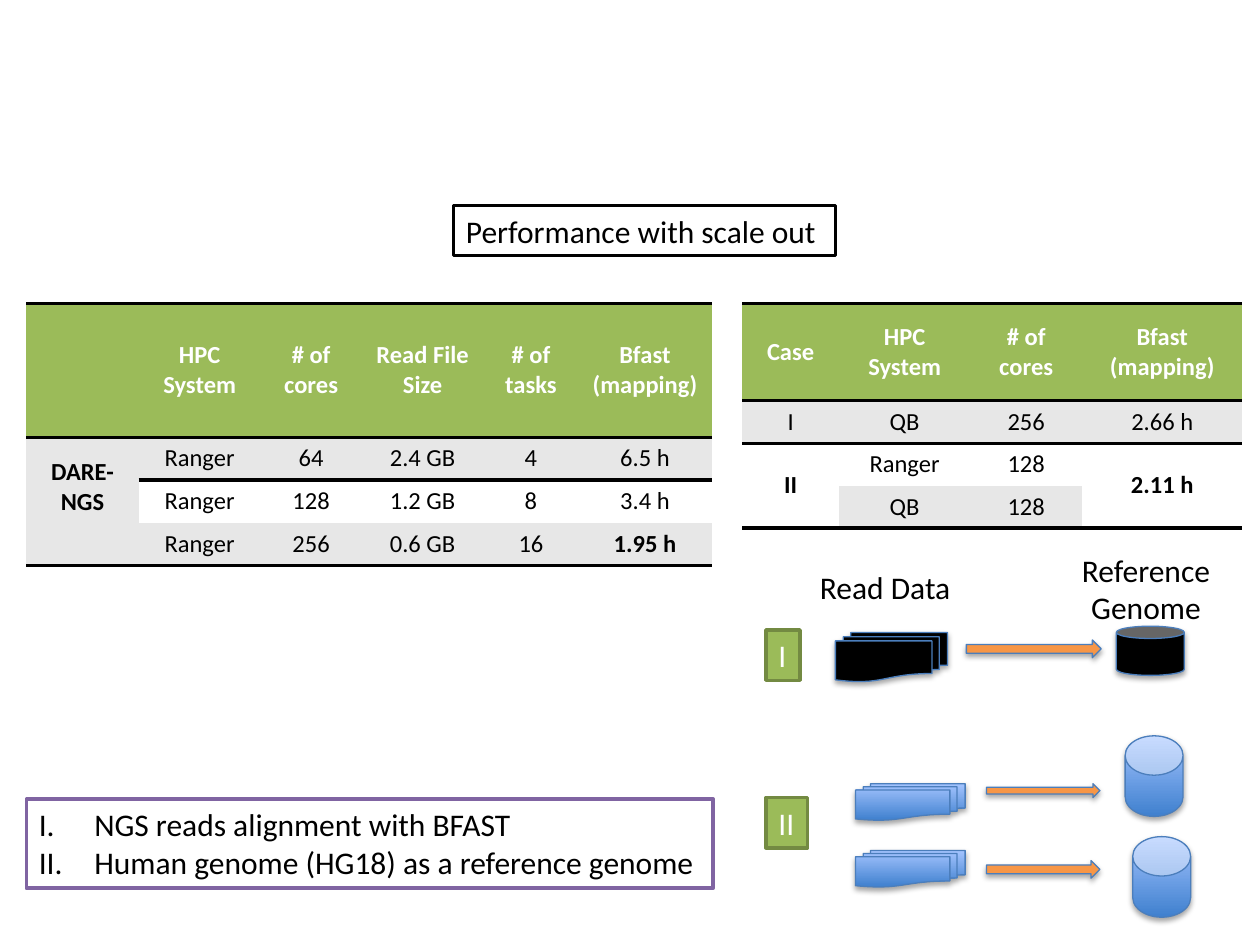
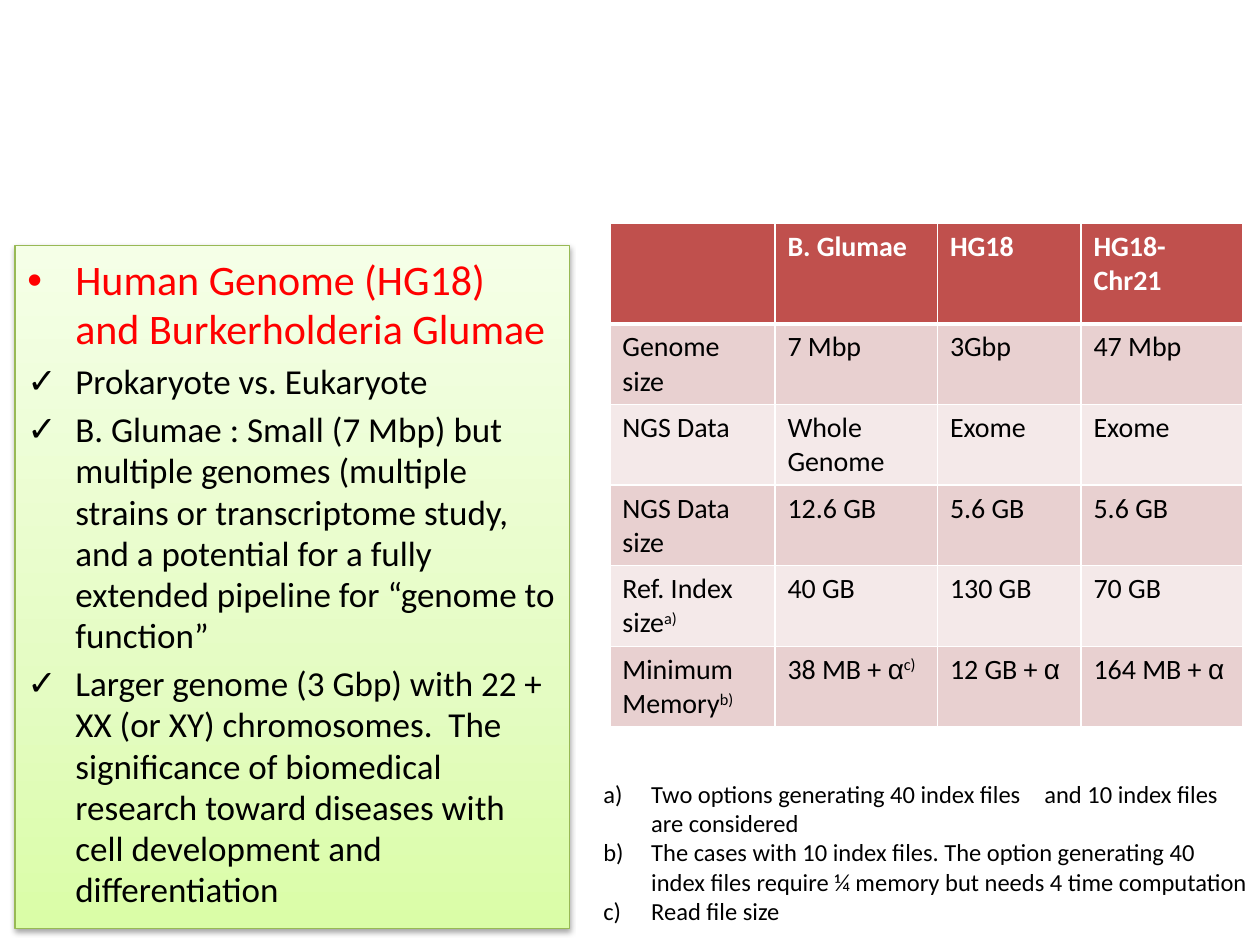
from typing import NamedTuple, Optional

from lxml.etree import SubElement
from pptx import Presentation
from pptx.dml.color import RGBColor
from pptx.enum.shapes import MSO_SHAPE
from pptx.enum.text import MSO_ANCHOR, PP_ALIGN
from pptx.oxml.ns import qn
from pptx.util import Emu, Inches, Pt

FONT = "Calibri"
COLS, ROWS = 100, 75  # slide grid: one step is a tenth of an inch
STEP = Inches(0.1)
PLAIN = "{2D5ABB26-0587-4C30-8999-92F81FD0307C}"  # table style without grid

HUES = {
    "ink": "000000", "paper": "FFFFFF", "alert": "FF0000",
    "green": "9BBB59", "moss": "738A42", "leaf": "98B955",
    "purple": "8064A2", "orange": "F79646", "edge": "4B7EBC",
    "gray": "E7E7E7", "red": "C0504D", "rose": "E8D0D0", "blush": "F4E9E9",
}
SKY = [(0, "3F80CE"), (100, "A4C4FF")]
LIME = [(0, "DAFDA7"), (35, "E4FCC2"), (100, "F5FFE7")]


class Box(NamedTuple):
    """Place and size in grid steps."""
    left: float
    top: float
    wide: float
    high: float

    def emu(self) -> list:
        return [Emu(round(n * STEP)) for n in self]


class Look(NamedTuple):
    """Colours and rules of a table."""
    head: str
    bands: tuple
    size: int
    align: PP_ALIGN
    anchor: MSO_ANCHOR
    grid: bool


class Glyph(NamedTuple):
    """A shadowed drawing in the flow of reads to genome."""
    kind: MSO_SHAPE
    box: Box
    fill: object
    lid: Optional[float] = None


class Item(NamedTuple):
    text: str
    size: int
    hue: str
    mark: str


SCALE = Look("green", ("gray", "paper"), 14, PP_ALIGN.CENTER, MSO_ANCHOR.MIDDLE, False)
GENOME = Look("red", ("rose", "blush"), 16, PP_ALIGN.LEFT, MSO_ANCHOR.TOP, True)


def rgb(hue: str) -> RGBColor:
    return RGBColor.from_string(HUES[hue])


def pieces(text: str) -> list:
    """Split into (text, font, raise): alpha is in Arial, what follows ^ is raised."""
    base, _, note = text.partition("^")
    start, alpha, _ = base.partition("α")
    runs = [(start, FONT, 0), (alpha, "Arial", 0), (note, FONT, 30000)]
    return [run for run in runs if run[0]]


def bullet(para, mark: str, indent: float) -> None:
    """Hang the paragraph on a character, or on a numbering scheme's name."""
    props = para._p.get_or_add_pPr()
    props.set("marL", str(Inches(indent)))
    props.set("indent", str(-Inches(indent)))
    SubElement(props, qn("a:buFont")).set("typeface", "Arial")
    if len(mark) == 1:
        SubElement(props, qn("a:buChar")).set("char", mark)
    else:
        SubElement(props, qn("a:buAutoNum")).set("type", mark)


def write(frame, text: str, *, size: int = 18, hue: str = "ink", bold: bool = False,
          align: PP_ALIGN = PP_ALIGN.LEFT, mark: str = "", indent: float = 0,
          before: float = 0, lines: Optional[float] = None) -> None:
    """Add one paragraph, filling the empty first one if there is one."""
    first = not frame.text
    para = frame.paragraphs[0] if first else frame.add_paragraph()
    para.alignment = align
    if lines:
        para.line_spacing = lines
    if not first:
        para.space_before = Pt(before)
    if mark:
        bullet(para, mark, indent)
    for part, face, lift in pieces(text):
        run = para.add_run()
        run.text = part
        run.font.name, run.font.size, run.font.bold = face, Pt(size), bold
        run.font.color.rgb = rgb(hue)
        if lift:
            run.font._element.set("baseline", str(lift))


def blend(shape, stops: list) -> None:
    """Fill with a gradient that runs upwards."""
    shape.fill.gradient()
    shape.fill.gradient_angle = 90
    row = shape._element.spPr.find(".//" + qn("a:gsLst"))
    for old in list(row):
        row.remove(old)
    for share, color in stops:
        stop = SubElement(row, qn("a:gs"), pos=str(share * 1000))
        SubElement(stop, qn("a:srgbClr"), val=color)


def shade(shape) -> None:
    """Cast a soft shadow straight down."""
    effects = shape._element.spPr.find(qn("a:effectLst"))
    cast = SubElement(effects, qn("a:outerShdw"), blurRad=str(Pt(3.1)),
                      dist=str(Pt(1.8)), dir="5400000", rotWithShape="0")
    color = SubElement(cast, qn("a:srgbClr"), val=HUES["ink"])
    SubElement(color, qn("a:alpha"), val="35000")


def draw(slide, kind: MSO_SHAPE, box: Box, fill, line: str,
         width: float = 2, shadow: bool = False):
    shape = slide.shapes.add_shape(kind, *box.emu())
    if isinstance(fill, list):
        blend(shape, fill)
    else:
        shape.fill.solid()
        shape.fill.fore_color.rgb = rgb(fill)
    shape.line.color.rgb = rgb(line)
    shape.line.width = Pt(width)
    shape.shadow.inherit = False
    if shadow:
        shade(shape)
    frame = shape.text_frame
    frame.word_wrap = True
    frame.vertical_anchor = MSO_ANCHOR.TOP
    return shape


def label(slide, box: Box, text: str, wrap: bool = False, **style) -> None:
    frame = slide.shapes.add_textbox(*box.emu()).text_frame
    frame.word_wrap = wrap
    write(frame, text, **style)


def tag(slide, box: Box, text: str, fill: str, line: str, hue: str) -> None:
    frame = draw(slide, MSO_SHAPE.RECTANGLE, box, fill, line).text_frame
    frame.word_wrap = False
    write(frame, text, hue=hue)


def rule(cell, side: str, hue: str, width: float) -> None:
    """Draw one border; call for sides in the order L, R, T, B."""
    line = SubElement(cell._tc.get_or_add_tcPr(), qn("a:ln" + side), w=str(Pt(width)))
    SubElement(SubElement(line, qn("a:solidFill")), qn("a:srgbClr"), val=HUES[hue])


def border(cell, look: Look, row: int, count: int) -> None:
    if look.grid:
        for side in "LRT":
            rule(cell, side, "paper", 3 if side == "T" and row == 1 else 1)
        rule(cell, "B", "paper", 1 if row else 3)
        return
    if row < 2:
        rule(cell, "T", "ink", 2)
    if row == 0 or row + cell.span_height == count:
        rule(cell, "B", "ink", 2)


def tabulate(slide, left: float, top: float, cols: list, rows: list, data: list,
             look: Look, merges: tuple = (), strong: tuple = ()):
    """Draw data as a table; merges are (first row, last row, column)."""
    box = Box(left, top, sum(cols), sum(rows))
    table = slide.shapes.add_table(len(rows), len(cols), *box.emu()).table
    table._tbl.tblPr.find(qn("a:tableStyleId")).text = PLAIN
    table.horz_banding = False
    for part, sizes in ((table.columns, cols), (table.rows, rows)):
        for band, size in zip(part, sizes):
            setattr(band, "width" if part is table.columns else "height",
                    Emu(round(size * STEP)))
    for first, last, col in merges:
        table.cell(first, col).merge(table.cell(last, col))
    for r, texts in enumerate(data):
        for c, text in enumerate(texts):
            cell = table.cell(r, c)
            border(cell, look, r, len(rows))
            cell.fill.solid()
            cell.fill.fore_color.rgb = rgb(look.bands[(r - 1) % 2] if r else look.head)
            cell.vertical_anchor = look.anchor
            if text:
                write(cell.text_frame, text, size=look.size, align=look.align,
                      hue="ink" if r else "paper", bold=r == 0 or text in strong)
    return table


def scale(slide) -> None:
    runs = [
        ["", "HPC System", "# of cores", "Read File Size", "# of tasks", "Bfast (mapping)"],
        ["DARE-NGS", "Ranger", "64", "2.4 GB", "4", "6.5 h"],
        ["", "Ranger", "128", "1.2 GB", "8", "3.4 h"],
        ["", "Ranger", "256", "0.6 GB", "16", "1.95 h"],
    ]
    table = tabulate(slide, 2.1, 24.1, [8.9, 9.7, 8, 9.7, 7.5, 10.6],
                     [10.6] + [3.4] * 3, runs, SCALE,
                     merges=((1, 3, 0),), strong=("DARE-NGS", "1.95 h"))
    table.cell(1, 0).margin_bottom = Inches(0.28)

    tag(slide, Box(36, 16.3, 30.3, 4), "Performance with scale out", "paper", "ink", "ink")

    cases = [
        ["Case", "HPC System", "# of cores", "Bfast (mapping)"],
        ["I", "QB", "256", "2.66 h"],
        ["II", "Ranger", "128", "2.11 h"],
        ["", "QB", "128", ""],
    ]
    tabulate(slide, 58.9, 24.1, [7.7, 10.4, 8.9, 12.7], [7.7] + [3.3] * 3, cases, SCALE,
             merges=((2, 3, 0), (2, 3, 3)), strong=("II", "2.11 h"))

    notes = draw(slide, MSO_SHAPE.RECTANGLE, Box(2.1, 63.4, 54.5, 7.1),
                 "paper", "purple").text_frame
    for text in ("NGS reads alignment with BFAST",
                 "Human genome (HG18) as a reference genome"):
        write(notes, text, mark="romanUcPeriod", indent=0.44)
    flow(slide)


def flow(slide) -> None:
    """Reads mapped onto genomes, for both cases."""
    docs, can, arrow = (MSO_SHAPE.FLOWCHART_MULTIDOCUMENT, MSO_SHAPE.CAN,
                        MSO_SHAPE.RIGHT_ARROW)
    glyphs = [
        Glyph(docs, Box(66.3, 50.2, 8.9, 3.9), "ink"),
        Glyph(can, Box(88.6, 49.7, 5.4, 3.9), "ink"),
        Glyph(arrow, Box(76.7, 50.8, 10.7, 1.4), "orange"),
        Glyph(docs, Box(67.9, 62.2, 8.7, 2.9), SKY),
        Glyph(can, Box(89.3, 58.4, 4.6, 6.4), SKY, 0.68),
        Glyph(arrow, Box(78.3, 62.2, 9, 1.1), "orange"),
        Glyph(docs, Box(67.9, 67.5, 8.7, 2.9), SKY),
        Glyph(can, Box(89.9, 66.4, 4.6, 6.4), SKY, 0.68),
        Glyph(arrow, Box(78.3, 68.3, 9, 1.4), "orange"),
    ]
    for glyph in glyphs:
        shape = draw(slide, glyph.kind, glyph.box, glyph.fill, "edge", 0.75, True)
        if glyph.lid:
            shape.adjustments[0] = glyph.lid
    tag(slide, Box(60.8, 50, 2.7, 4), "I", "green", "moss", "paper")
    tag(slide, Box(60.8, 63.3, 3.3, 4), "II", "green", "moss", "paper")
    label(slide, Box(64.1, 44.6, 12.6, 4), "Read Data")
    label(slide, Box(84.5, 43.2, 12.9, 7.1), "Reference Genome", True,
          align=PP_ALIGN.CENTER)


def genomes(slide) -> None:
    items = [
        Item("Human Genome (HG18) and Burkerholderia Glumae", 24, "alert", "•"),
        Item("Prokaryote vs. Eukaryote", 20, "ink", "✓"),
        Item("B. Glumae : Small (7 Mbp) but multiple genomes (multiple strains or "
             "transcriptome study, and a potential for a fully extended pipeline for "
             "“genome to function”", 20, "ink", "✓"),
        Item("Larger genome (3 Gbp) with 22 + XX (or XY) chromosomes.  The significance "
             "of biomedical research toward diseases with cell development and "
             "differentiation", 20, "ink", "✓"),
    ]
    panel = draw(slide, MSO_SHAPE.RECTANGLE, Box(1.2, 19.5, 44, 54.2),
                 LIME, "leaf", 0.75, True).text_frame
    panel.margin_top = Inches(0.08)
    for item in items:
        write(panel, item.text, size=item.size, hue=item.hue, mark=item.mark,
              indent=0.38, before=4, lines=0.98)

    facts = [
        ["", "B. Glumae", "HG18", "HG18-Chr21"],
        ["Genome size", "7 Mbp", "3Gbp", "47 Mbp"],
        ["NGS Data", "Whole Genome", "Exome", "Exome"],
        ["NGS Data size", "12.6 GB", "5.6 GB", "5.6 GB"],
        ["Ref. Index size^a)", "40 GB", "130 GB", "70 GB"],
        ["Minimum Memory^b)", "38 MB + α^c)", "12 GB + α", "164 MB + α"],
    ]
    tabulate(slide, 48.4, 17.7, [13.1, 12.9, 11.4, 12.8], [8] + [6.4] * 5, facts, GENOME)

    notes = slide.shapes.add_textbox(*Box(46.9, 61.3, 53.1, 12.8).emu()).text_frame
    notes.word_wrap = True
    for text in ("Two options generating 40 index files \tand 10 index files are considered",
                 "The cases with 10 index files. The option generating 40 index files "
                 "require ¼ memory but needs 4 time computation",
                 "Read file size"):
        write(notes, text, size=14, mark="alphaLcParenR", indent=0.38)


def main() -> None:
    deck = Presentation()
    deck.slide_width, deck.slide_height = COLS * STEP, ROWS * STEP
    blank = deck.slide_layouts[6]
    for build in (scale, genomes):
        build(deck.slides.add_slide(blank))
    deck.save("out.pptx")


if __name__ == "__main__":
    main()
